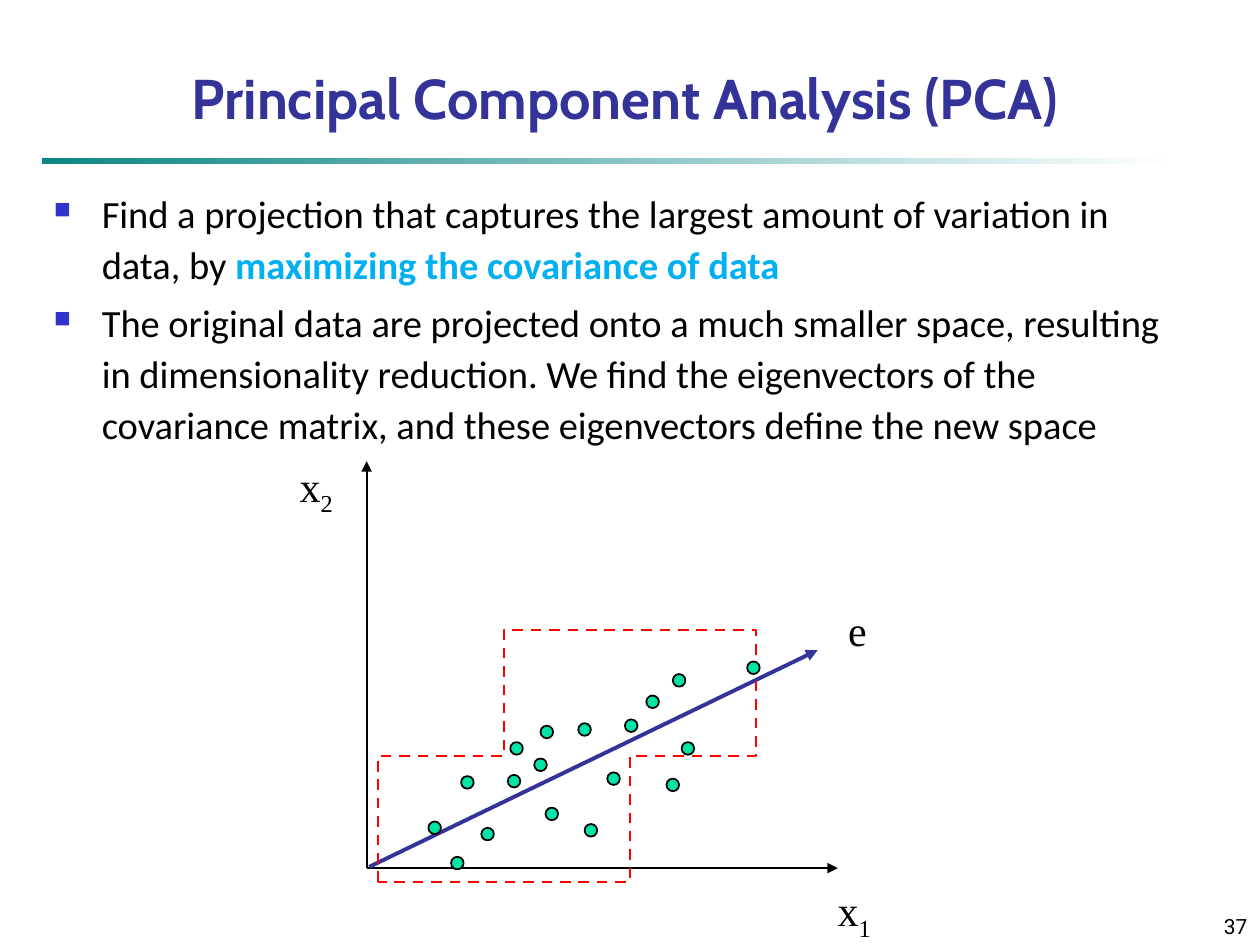
from lxml import etree
from pptx import Presentation
from pptx import util as u
from pptx.dml.color import RGBColor
from pptx.enum import dml, shapes, text
from pptx.oxml.ns import qn

BLACK, INDIGO, RED, GREEN = "000000", "333399", "FF0000", "00E4A8"
ORIGIN = (2.91, 6.89)
DOT_SIZE = 0.1
DOTS = [  # left, top
    (3.66, 6.16), (4.05, 5.89), (3.4, 6.52), (4.24, 6.02), (4.03, 6.15),
    (4.82, 6.13), (4.64, 6.54), (4.33, 6.41), (4.59, 5.74), (5.41, 5.89),
    (5.93, 5.25), (3.82, 6.57), (4.96, 5.71), (5.34, 5.35), (4.29, 5.76),
    (5.13, 5.52), (5.29, 6.18), (3.58, 6.8),
]
CLOUD_START = (3.16, 6.73)
CLOUD_CURVES = [  # two control points and an end point each
    ((3.17, 6.54), (3.35, 6.13), (3.61, 5.9)),
    ((3.87, 5.68), (4.3, 5.51), (4.71, 5.38)),
    ((5.13, 5.26), (5.89, 5.12), (6.11, 5.16)),
    ((6.33, 5.2), (6.19, 5.4), (6.04, 5.63)),
    ((5.89, 5.86), (5.61, 6.3), (5.2, 6.54)),
    ((4.79, 6.77), (3.9, 7), (3.56, 7.04)),
    ((3.22, 7.08), (3.15, 6.92), CLOUD_START),
]
BULLETS = [
    [("Find a projection that captures the largest amount of variation in data, by ", BLACK, False),
     ("maximizing the covariance of data", "00B0F0", True)],
    [("The original data are projected onto a much smaller space, resulting in "
      "dimensionality reduction. We find the eigenvectors of the covariance matrix, "
      "and these eigenvectors define the new space", BLACK, False)],
]


def color(hex_string):
    return RGBColor.from_string(hex_string)


def add_run(paragraph, words, font, size, hex_color=BLACK, bold=False):
    run = paragraph.add_run()
    run.text = words
    run.font.name, run.font.size, run.font.bold = font, u.Pt(size), bold
    run.font.color.rgb = color(hex_color)
    return run


def add_text_box(slide, box, anchor, align=None, wrap=True):
    frame = slide.shapes.add_textbox(*map(u.Inches, box)).text_frame
    frame.word_wrap = wrap
    frame.vertical_anchor = anchor
    frame.paragraphs[0].alignment = align
    return frame


def add_label(slide, box, letter, subscript=""):
    frame = add_text_box(slide, box, text.MSO_ANCHOR.MIDDLE, text.PP_ALIGN.CENTER, wrap=False)
    paragraph = frame.paragraphs[0]
    add_run(paragraph, letter, "Times New Roman", 24)
    if subscript:
        run = add_run(paragraph, subscript, "Times New Roman", 24)
        run.font._element.set("baseline", "-25000")


def add_arrow(slide, start, end, hex_color, width):
    arrow = slide.shapes.add_connector(
        shapes.MSO_CONNECTOR.STRAIGHT, *map(u.Inches, start + end))
    arrow.line.color.rgb = color(hex_color)
    arrow.line.width = u.Pt(width)
    etree.SubElement(arrow.line._get_or_add_ln(), qn("a:tailEnd"), type="triangle")
    etree.SubElement(arrow._element.spPr, qn("a:effectLst"))


def add_dot(slide, left, top):
    dot = slide.shapes.add_shape(
        shapes.MSO_SHAPE.OVAL, *map(u.Inches, (left, top, DOT_SIZE, DOT_SIZE)))
    dot.shadow.inherit = False
    dot.fill.solid()
    dot.fill.fore_color.rgb = color(GREEN)
    dot.line.color.rgb = color(BLACK)
    dot.line.width = u.Pt(1)


def curve_points(start, curves, steps=16):
    """Sample a chain of cubic curves."""
    points = []
    for first, second, end in curves:
        for step in range(1, steps + 1):
            t = step / steps
            weights = ((1 - t) ** 3, 3 * t * (1 - t) ** 2, 3 * t * t * (1 - t), t ** 3)
            points.append(tuple(
                sum(w * value for w, value in zip(weights, values))
                for values in zip(start, first, second, end)))
        start = end
    return points


def add_cloud_outline(slide):
    builder = slide.shapes.build_freeform(*CLOUD_START, scale=u.Inches(1))
    builder.add_line_segments(curve_points(CLOUD_START, CLOUD_CURVES), close=True)
    outline = builder.convert_to_shape()
    outline.shadow.inherit = False
    outline.fill.background()
    outline.line.color.rgb = color(RED)
    outline.line.width = u.Pt(1.5)
    outline.line.dash_style = dml.MSO_LINE.DASH


def add_rule(slide):
    rule = slide.shapes.add_shape(
        shapes.MSO_SHAPE.RECTANGLE, *map(u.Inches, (0.33, 1.25, 9, 0.05)))
    rule.shadow.inherit = False
    rule.line.fill.background()
    rule.fill.gradient()
    rule.fill.gradient_angle = 0
    for stop, hex_color in zip(rule.fill.gradient_stops, ("0D8686", "FFFFFF")):
        stop.color.rgb = color(hex_color)


def set_bullet(paragraph):
    properties = paragraph._p.get_or_add_pPr()
    properties.set("marL", str(u.Inches(0.38)))
    properties.set("indent", str(-u.Inches(0.38)))
    bullet_color = etree.SubElement(properties, qn("a:buClr"))
    etree.SubElement(bullet_color, qn("a:srgbClr"), val="3333CC")
    etree.SubElement(properties, qn("a:buSzPct"), val="60000")
    etree.SubElement(properties, qn("a:buChar"), char="■")


def add_bullets(slide):
    frame = add_text_box(slide, (0.33, 1.42, 9.17, 1.75), text.MSO_ANCHOR.TOP)
    for index, runs in enumerate(BULLETS):
        paragraph = frame.add_paragraph() if index else frame.paragraphs[0]
        set_bullet(paragraph)
        paragraph.line_spacing = 1.1
        if index:
            paragraph.space_before = u.Pt(4.4)
        for words, hex_color, bold in runs:
            add_run(paragraph, words, "Calibri", 22, hex_color, bold)


def main():
    presentation = Presentation()
    presentation.slide_width, presentation.slide_height = u.Inches(10), u.Inches(7.5)
    slide = presentation.slides.add_slide(presentation.slide_layouts[6])

    # Title, rule and slide number
    add_rule(slide)
    title = add_text_box(slide, (0.17, 0.17, 9.58, 0.92),
                         text.MSO_ANCHOR.BOTTOM, text.PP_ALIGN.CENTER)
    add_run(title.paragraphs[0], "Principal Component Analysis (PCA)", "Cabin", 32, INDIGO, True)
    number = add_text_box(slide, (9, 7.08, 1, 0.42),
                          text.MSO_ANCHOR.BOTTOM, text.PP_ALIGN.RIGHT)
    add_run(number.paragraphs[0], "37", "Roboto", 12)

    add_bullets(slide)

    # Axes and principal direction
    add_arrow(slide, ORIGIN, (2.91, 3.66), BLACK, 1)
    add_arrow(slide, ORIGIN, (6.65, 6.89), BLACK, 1)
    add_arrow(slide, (2.93, 6.88), (6.49, 5.16), INDIGO, 2.25)

    # Data points inside their outline
    add_cloud_outline(slide)
    for left, top in DOTS:
        add_dot(slide, left, top)

    # Labels
    add_label(slide, (2.27, 3.63, 0.48, 0.5), "x", "2")
    add_label(slide, (6.54, 7, 0.48, 0.5), "x", "1")
    add_label(slide, (6.63, 4.75, 0.35, 0.5), "e")

    presentation.save("out.pptx")


if __name__ == "__main__":
    main()
